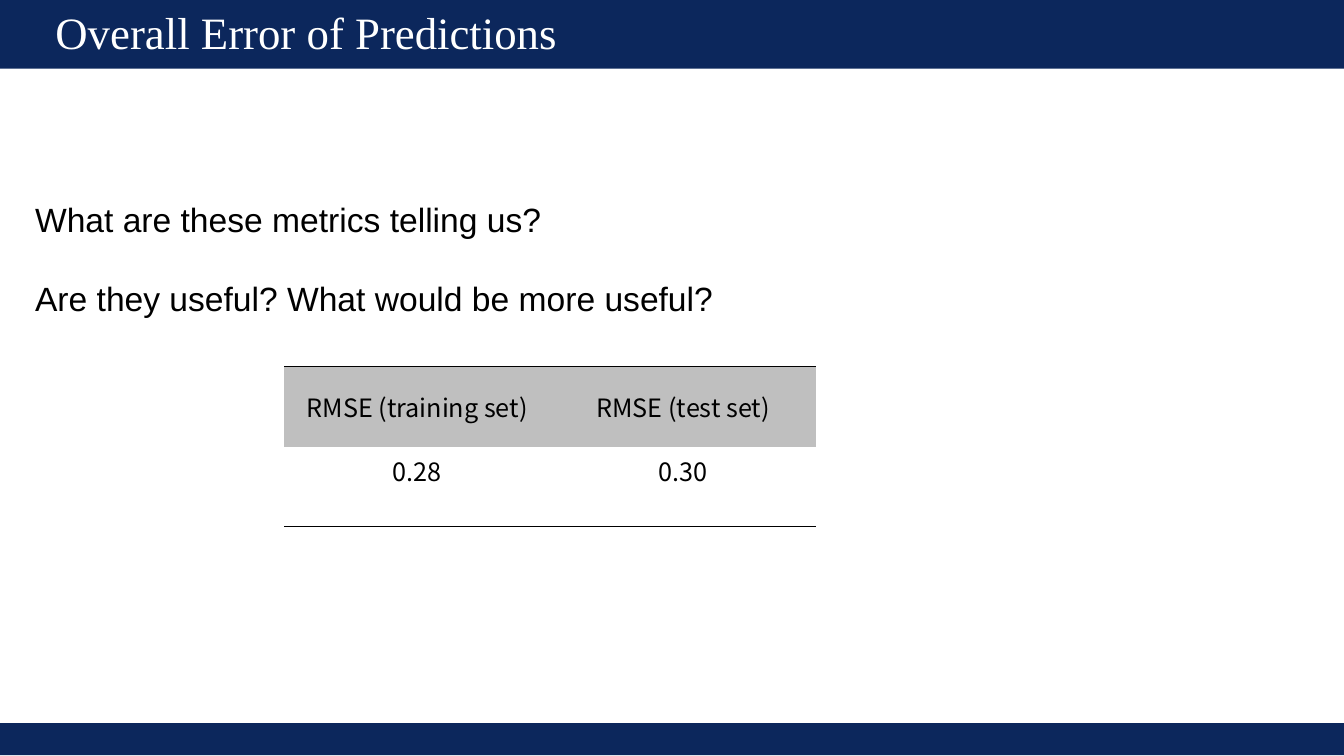
from lxml import etree
from pptx import Presentation
from pptx.dml.color import RGBColor
from pptx.enum import shapes, text
from pptx.oxml import ns
from pptx.util import Pt

NAVY, WHITE, BLACK, GREY = "0C275C", "FFFFFF", "000000", "BFBFBF"
WIDTH, HEIGHT = 960, 540


def color(value):
    return RGBColor.from_string(value)


class SlideBuilder:
    """Hold the fonts and the current slide, and add styled elements to it."""

    title_font = "Times New Roman"
    body_font = "Arial"
    table_font = "Noto Sans CJK SC"

    def __init__(self, slide):
        self.slide = slide

    def style(self, paragraph, font, size, ink):
        paragraph.font.name = font
        paragraph.font.size = Pt(size)
        paragraph.font.color.rgb = color(ink)

    def bar(self, top, height):
        shape = self.slide.shapes.add_shape(
            shapes.MSO_SHAPE.RECTANGLE, 0, Pt(top), Pt(WIDTH), Pt(height))
        shape.shadow.inherit = False
        shape.fill.solid()
        shape.fill.fore_color.rgb = color(NAVY)
        shape.line.fill.background()

    def text_box(self, left, top, width, height):
        shape = self.slide.shapes.add_textbox(Pt(left), Pt(top), Pt(width), Pt(height))
        shape.text_frame.word_wrap = True
        return shape.text_frame

    def title(self, left, top, width, height, words):
        frame = self.text_box(left, top, width, height)
        frame.margin_left = frame.margin_right = frame.margin_top = frame.margin_bottom = 0
        frame.vertical_anchor = text.MSO_ANCHOR.MIDDLE
        paragraph = frame.paragraphs[0]
        paragraph.text = words
        paragraph.line_spacing = 0.9
        self.style(paragraph, self.title_font, 32, WHITE)

    def questions(self, left, top, width, height, lines, gap):
        frame = self.text_box(left, top, width, height)
        frame.text = "\n".join(lines)
        for paragraph in frame.paragraphs:
            paragraph.space_after = Pt(gap)
            self.style(paragraph, self.body_font, 24, BLACK)

    def borders(self, cell, ruled_side):
        properties = cell._tc.get_or_add_tcPr()
        for index, side in enumerate("LRTB"):
            line = etree.Element(ns.qn(f"a:ln{side}"), w=str(Pt(0.96)))
            if side == ruled_side:
                fill = etree.SubElement(line, ns.qn("a:solidFill"))
                etree.SubElement(fill, ns.qn("a:srgbClr"), val=BLACK)
            else:
                etree.SubElement(line, ns.qn("a:noFill"))
            properties.insert(index, line)

    def table(self, left, top, column_width, row_height, rows):
        columns = len(rows[0])
        table = self.slide.shapes.add_table(
            len(rows), columns, Pt(left), Pt(top),
            Pt(column_width * columns), Pt(row_height * len(rows))).table
        table.horz_banding = False
        for row_index, row in enumerate(rows):
            header = row_index == 0
            for column_index, words in enumerate(row):
                cell = table.cell(row_index, column_index)
                cell.text = words
                cell.fill.solid()
                cell.fill.fore_color.rgb = color(GREY if header else WHITE)
                cell.vertical_anchor = text.MSO_ANCHOR.MIDDLE if header else text.MSO_ANCHOR.TOP
                paragraph = cell.text_frame.paragraphs[0]
                paragraph.alignment = text.PP_ALIGN.CENTER
                paragraph.font.bold = False
                self.style(paragraph, self.table_font, 18, BLACK)
                self.borders(cell, "T" if header else "B")


def main():
    presentation = Presentation()
    presentation.slide_width, presentation.slide_height = Pt(WIDTH), Pt(HEIGHT)
    builder = SlideBuilder(presentation.slides.add_slide(presentation.slide_layouts[6]))
    builder.bar(516.5, 23)
    builder.bar(0, 49)
    builder.title(39.6, 5.8, 701, 39, "Overall Error of Predictions")
    builder.table(203, 262, 190, 57.2, [
        ["RMSE (training set)", "RMSE (test set)"],
        ["0.28", "0.30"],
    ])
    builder.questions(18, 138.5, 828, 114, [
        "What are these metrics telling us?",
        "Are they useful? What would be more useful?",
    ], gap=28)
    presentation.save("out.pptx")


if __name__ == "__main__":
    main()
